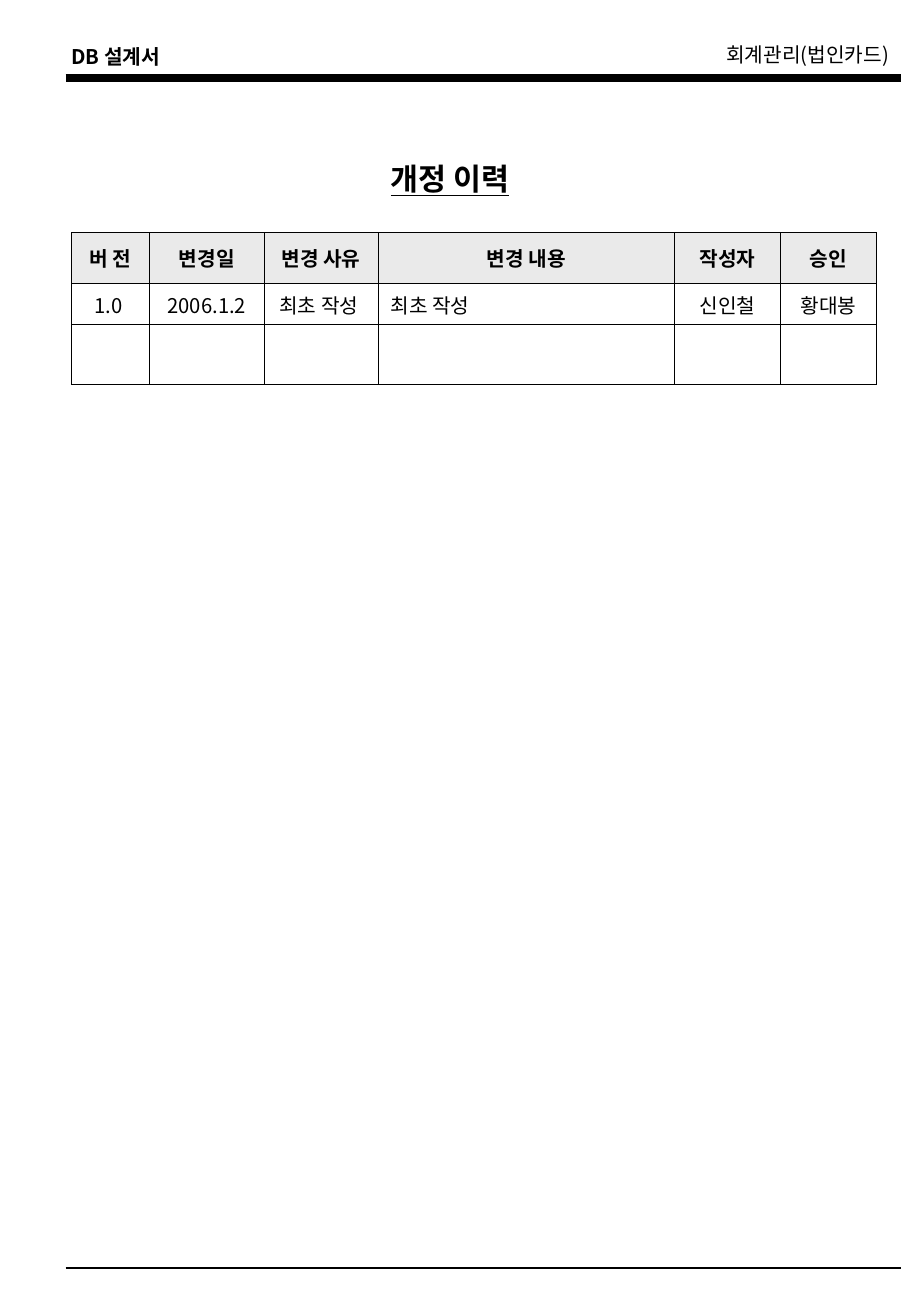
import pptx
import pptx.util
import pptx.dml.color
import pptx.enum.shapes
import pptx.enum.text
import pptx.oxml
import pptx.oxml.ns
from lxml import etree
from pptx.util import Cm

BLACK = pptx.dml.color.RGBColor(0x00, 0x00, 0x00)
HEADER_GRAY = pptx.dml.color.RGBColor(0xEA, 0xEA, 0xEA)
FONT = "Noto Sans CJK KR"
ALIGN = pptx.enum.text.PP_ALIGN
qn = pptx.oxml.ns.qn


def write(frame, text, size, align, bold=False):
    para = frame.paragraphs[0]
    para.text = text
    para.alignment = align
    font = para.font
    font.name = FONT
    font.size = pptx.util.Pt(size)
    font.bold = bold
    font.color.rgb = BLACK
    properties = para._p.pPr.find(qn("a:defRPr"))
    etree.SubElement(properties, qn("a:ea")).set("typeface", FONT)
    return para


def add_borders(cell):
    properties = cell._tc.get_or_add_tcPr()
    for position, side in enumerate(("lnL", "lnR", "lnT", "lnB")):
        border = etree.Element(qn("a:" + side), w=str(pptx.util.Pt(0.45)))
        fill = etree.SubElement(border, qn("a:solidFill"))
        etree.SubElement(fill, qn("a:srgbClr")).set("val", str(BLACK))
        properties.insert(position, border)


deck = pptx.Presentation()
deck.slide_width = Cm(19.05)
deck.slide_height = Cm(27.53)
page = deck.slides.add_slide(deck.slide_layouts[5])

# Page header
for text, left, top, width, align, bold in (
    ("DB 설계서", 1.24, 0.81, 2.54, ALIGN.LEFT, True),
    ("회계관리(법인카드)", 14.5, 0.76, 4.34, ALIGN.RIGHT, False),
):
    box = page.shapes.add_textbox(Cm(left), Cm(top), Cm(width), Cm(0.77))
    box.text_frame.word_wrap = False
    write(box.text_frame, text, 12, align, bold)

# Rules under the header and above the footer
for height, weight in ((1.63, 4.5), (26.52, 1)):
    rule = page.shapes.add_connector(
        pptx.enum.shapes.MSO_CONNECTOR.STRAIGHT,
        Cm(1.37), Cm(height), Cm(18.85), Cm(height))
    rule.line.color.rgb = BLACK
    rule.line.width = pptx.util.Pt(weight)
    etree.SubElement(rule._element.spPr, qn("a:effectLst"))

# Title
title = page.shapes.title
title.left, title.top, title.width, title.height = Cm(7.92), Cm(3.23), Cm(3.89), Cm(1.02)
title.text_frame.vertical_anchor = pptx.enum.text.MSO_ANCHOR.MIDDLE
title.text_frame.word_wrap = True
write(title.text_frame, "개정 이력", 18, ALIGN.LEFT, True).font.underline = True

# Revision history table
column_widths = (1.63, 2.39, 2.39, 6.2, 2.21, 2.01)
row_heights = (1.06, 0.85, 1.25)
rows = (
    ("버 전", "변경일", "변경 사유", "변경 내용", "작성자", "승인"),
    ("1.0 ", "2006.1.2", "최초 작성 ", "최초 작성", "신인철", "황대봉"),
    ("",) * 6,
)
history = page.shapes.add_table(
    len(rows), len(column_widths), Cm(1.5), Cm(4.87),
    Cm(sum(column_widths)), Cm(sum(row_heights))).table
for column, width in zip(history.columns, column_widths):
    column.width = Cm(width)
for row_number, (row, height, texts) in enumerate(zip(history.rows, row_heights, rows)):
    row.height = Cm(height)
    is_header = row_number == 0
    for column_number, (cell, text) in enumerate(zip(row.cells, texts)):
        cell.vertical_anchor = pptx.enum.text.MSO_ANCHOR.MIDDLE
        if is_header:
            cell.fill.solid()
            cell.fill.fore_color.rgb = HEADER_GRAY
        else:
            cell.fill.background()
        add_borders(cell)
        is_description = column_number == 3 and not is_header
        align = ALIGN.LEFT if is_description else ALIGN.CENTER
        write(cell.text_frame, text, 12, align, is_header)

deck.save("out.pptx")
